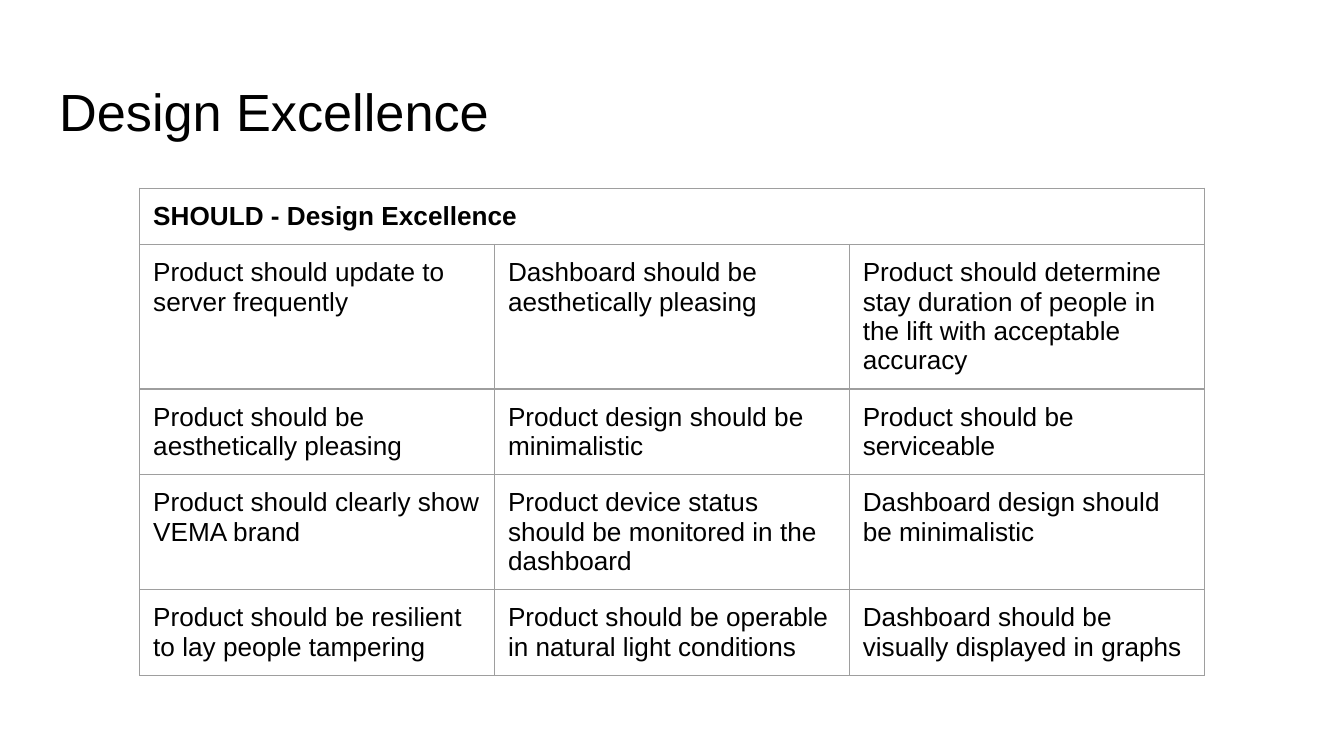
from lxml import etree
from pptx import Presentation
from pptx.dml.color import RGBColor
from pptx.enum.text import MSO_ANCHOR, MSO_AUTO_SIZE, PP_ALIGN
from pptx.oxml.ns import qn
from pptx.util import Inches, Pt

TOP = MSO_ANCHOR.TOP
LEFT = PP_ALIGN.LEFT
NO_FIT = MSO_AUTO_SIZE.NONE
TITLE_ONLY = 5

COLORS = {"text": "000000", "border": "9E9E9E", "background": "FFFFFF"}

HEADING = "SHOULD - Design Excellence"
REQUIREMENTS = [
    ["Product should update to server frequently",
     "Dashboard should be aesthetically pleasing",
     "Product should determine stay duration of people in the lift "
     "with acceptable accuracy"],
    ["Product should be aesthetically pleasing",
     "Product design should be minimalistic",
     "Product should be serviceable"],
    ["Product should clearly show VEMA brand",
     "Product device status should be monitored in the dashboard",
     "Dashboard design should be minimalistic"],
    ["Product should be resilient to lay people tampering",
     "Product should be operable in natural light conditions",
     "Dashboard should be visually displayed in graphs"],
]


def write_text(tf, text, size=14, bold=False, color="text", font="Arial"):
    p = tf.paragraphs[0]
    p.alignment = LEFT
    r = p.add_run()
    r.text = text
    r.font.name = font
    r.font.size = Pt(size)
    r.font.bold = bold
    r.font.color.rgb = RGBColor.from_string(COLORS[color])


class SlideBuilder:
    margin = Inches(0.1)
    border_width = Pt(0.75)

    def __init__(self, prs):
        self.s = prs.slides.add_slide(prs.slide_layouts[TITLE_ONLY])
        fill = self.s.background.fill
        fill.solid()
        fill.fore_color.rgb = RGBColor.from_string(COLORS["background"])

    def set_margins(self, box):
        box.margin_left = box.margin_right = self.margin
        box.margin_top = box.margin_bottom = self.margin
        box.vertical_anchor = TOP

    def title(self, text, left, top, width, height):
        sp = self.s.shapes.title
        sp.left, sp.top = Inches(left), Inches(top)
        sp.width, sp.height = Inches(width), Inches(height)
        tf = sp.text_frame
        tf.auto_size = NO_FIT
        tf.word_wrap = True
        self.set_margins(tf)
        write_text(tf, text, size=28)

    def borders(self, cell):
        tc_pr = cell._tc.get_or_add_tcPr()
        for i, side in enumerate(("lnL", "lnR", "lnT", "lnB")):
            ln = etree.Element(qn(f"a:{side}"), w=str(self.border_width))
            fill = etree.SubElement(ln, qn("a:solidFill"))
            etree.SubElement(fill, qn("a:srgbClr"), val=COLORS["border"])
            tc_pr.insert(i, ln)

    def table(self, heading, rows, left, top, col_width, row_height):
        n_rows, n_cols = len(rows) + 1, len(rows[0])
        frame = self.s.shapes.add_table(
            n_rows, n_cols, Inches(left), Inches(top),
            Inches(col_width * n_cols), Inches(row_height * n_rows))
        table = frame.table
        table.first_row = table.horz_banding = False
        for col in table.columns:
            col.width = Inches(col_width)
        for row in table.rows:
            row.height = Inches(row_height)

        # Heading spans the full width
        table.cell(0, 0).merge(table.cell(0, n_cols - 1))
        write_text(table.cell(0, 0).text_frame, heading, bold=True)

        # Requirements
        for i, row in enumerate(rows, start=1):
            for j, text in enumerate(row):
                write_text(table.cell(i, j).text_frame, text)

        # Cell style
        for cell in table.iter_cells():
            self.set_margins(cell)
            cell.fill.background()
            self.borders(cell)


def main():
    prs = Presentation()
    prs.slide_width = Inches(10)
    prs.slide_height = prs.slide_width * 9 // 16
    slide = SlideBuilder(prs)
    slide.title("Design Excellence", 0.34, 0.49, 9.32, 0.63)
    slide.table(HEADING, REQUIREMENTS, 1.04, 1.4, col_width=2.64, row_height=0.42)
    prs.save("out.pptx")


if __name__ == "__main__":
    main()
